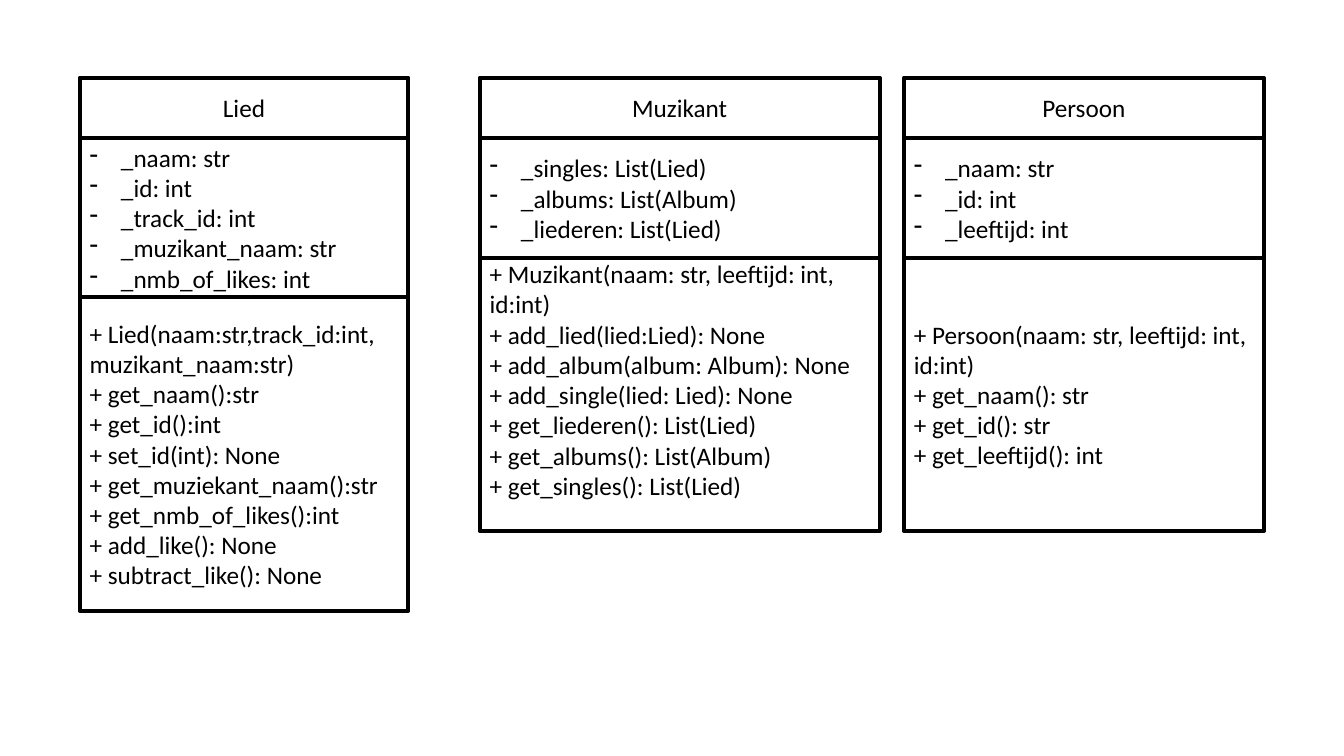
from pptx import Presentation
from pptx.dml.color import RGBColor
from pptx.enum.shapes import MSO_SHAPE
from pptx.enum.text import MSO_ANCHOR, PP_ALIGN
from pptx.oxml import parse_xml
from pptx.oxml.ns import nsdecls
from pptx.util import Cm, Pt

TOP, HEADER_H = 1.96, 1.52
INDENT = Cm(0.79)

CLASSES = [
    dict(name="Lied", left=2.01, width=8.28, heights=(4.01, 7.9),
         attributes=["_naam: str", "_id: int", "_track_id: int",
                     "_muzikant_naam: str", "_nmb_of_likes: int"],
         methods=["+ Lied(naam:str,track_id:int, muzikant_naam:str)",
                  "+ get_naam():str", "+ get_id():int", "+ set_id(int): None",
                  "+ get_muziekant_naam():str", "+ get_nmb_of_likes():int",
                  "+ add_like(): None", "+ subtract_like(): None"]),
    dict(name="Muzikant", left=12.09, width=10.08, heights=(3.02, 6.88),
         attributes=["_singles: List(Lied)", "_albums: List(Album)",
                     "_liederen: List(Lied)"],
         methods=["+ Muzikant(naam: str, leeftijd: int,", "id:int)",
                  "+ add_lied(lied:Lied): None", "+ add_album(album: Album): None",
                  "+ add_single(lied: Lied): None", "+ get_liederen(): List(Lied)",
                  "+ get_albums(): List(Album)", "+ get_singles(): List(Lied)"],
         insets=(0, 0.76)),
    dict(name="Persoon", left=22.78, width=9.07, heights=(3.02, 6.88),
         attributes=["_naam: str", "_id: int", "_leeftijd: int"],
         methods=["+ Persoon(naam: str, leeftijd: int,", "id:int)",
                  "+ get_naam(): str", "+ get_id(): str", "+ get_leeftijd(): int"]),
]


def color(value):
    """Turn a hex string into a colour."""
    return RGBColor.from_string(value)


def add_dash(p):
    """Give a paragraph a hanging dash bullet."""
    pPr = p._p.get_or_add_pPr()
    pPr.set("marL", str(INDENT))
    pPr.set("indent", str(-INDENT))
    pPr.append(parse_xml(f'<a:buFontTx {nsdecls("a")}/>'))
    pPr.append(parse_xml(f'<a:buChar {nsdecls("a")} char="-"/>'))


def write(tf, lines, size=18, font="Calibri", ink="000000",
          align=PP_ALIGN.LEFT, dashed=False):
    """Write one paragraph per line into a text frame."""
    for i, line in enumerate(lines):
        p = tf.paragraphs[0] if i == 0 else tf.add_paragraph()
        p.alignment = align
        if dashed:
            add_dash(p)
        r = p.add_run()
        r.text = line
        r.font.size, r.font.name = Pt(size), font
        r.font.color.rgb = color(ink)


def add_compartment(slide, box, lines, insets=(0.13, 0.13), **text_format):
    """Draw one outlined compartment of a class with its lines."""
    sp = slide.shapes.add_shape(MSO_SHAPE.RECTANGLE, *map(Cm, box))
    sp.shadow.inherit = False
    sp.fill.solid()
    sp.fill.fore_color.rgb = color("FFFFFF")
    sp.line.color.rgb = color("000000")
    sp.line.width = Pt(3)
    tf = sp.text_frame
    tf.word_wrap = True
    tf.vertical_anchor = MSO_ANCHOR.MIDDLE
    tf.margin_top, tf.margin_bottom = map(Cm, insets)
    write(tf, lines, **text_format)


def add_class(slide, name, left, width, heights, attributes, methods,
              insets=(0.13, 0.13), top=TOP):
    """Stack the name, attributes and methods of a class."""
    attributes_h, methods_h = heights
    attributes_top = top + HEADER_H
    methods_top = attributes_top + attributes_h
    add_compartment(slide, (left, top, width, HEADER_H), [name],
                    align=PP_ALIGN.CENTER)
    add_compartment(slide, (left, attributes_top, width, attributes_h),
                    attributes, dashed=True)
    add_compartment(slide, (left, methods_top, width, methods_h),
                    methods, insets=insets)


def main():
    """Build the class diagram slide."""
    prs = Presentation()
    prs.slide_width, prs.slide_height = Cm(33.87), Cm(19.05)
    slide = prs.slides.add_slide(prs.slide_layouts[6])
    for uml_class in CLASSES:
        add_class(slide, **uml_class)
    prs.save("out.pptx")


main()
